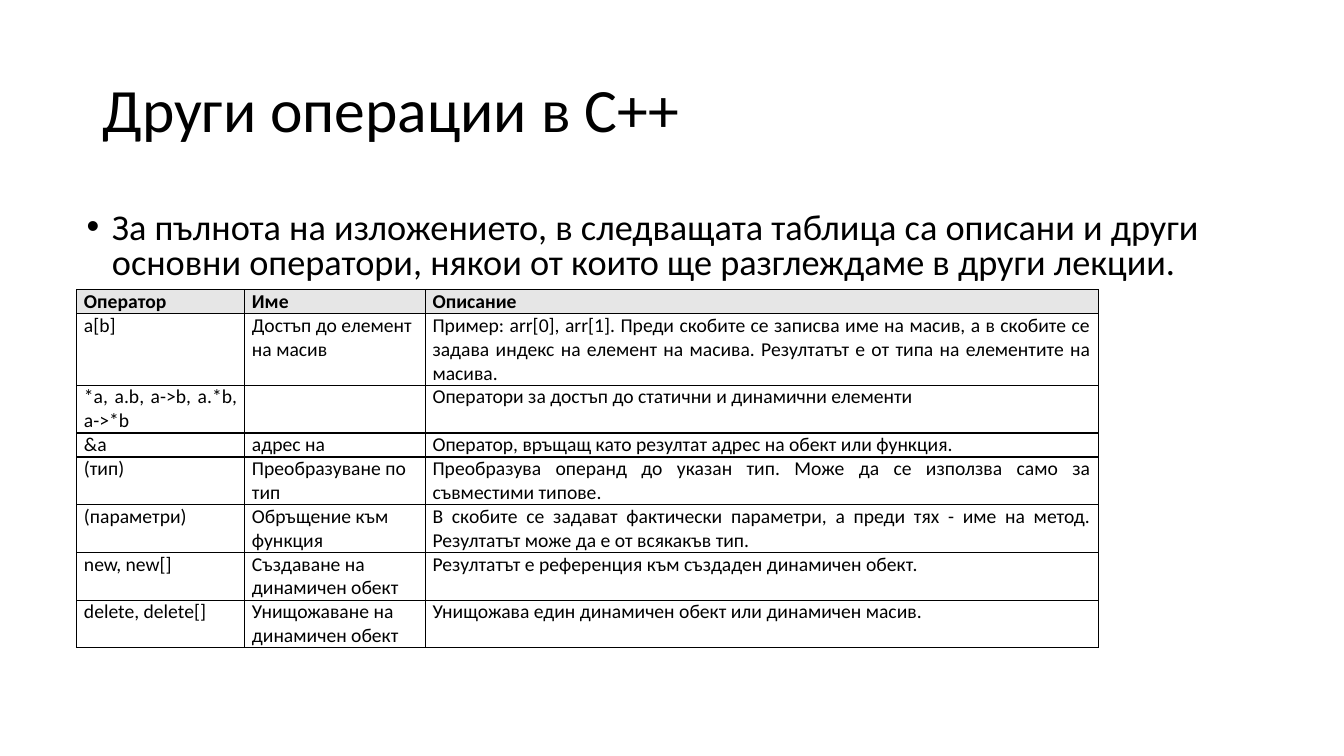
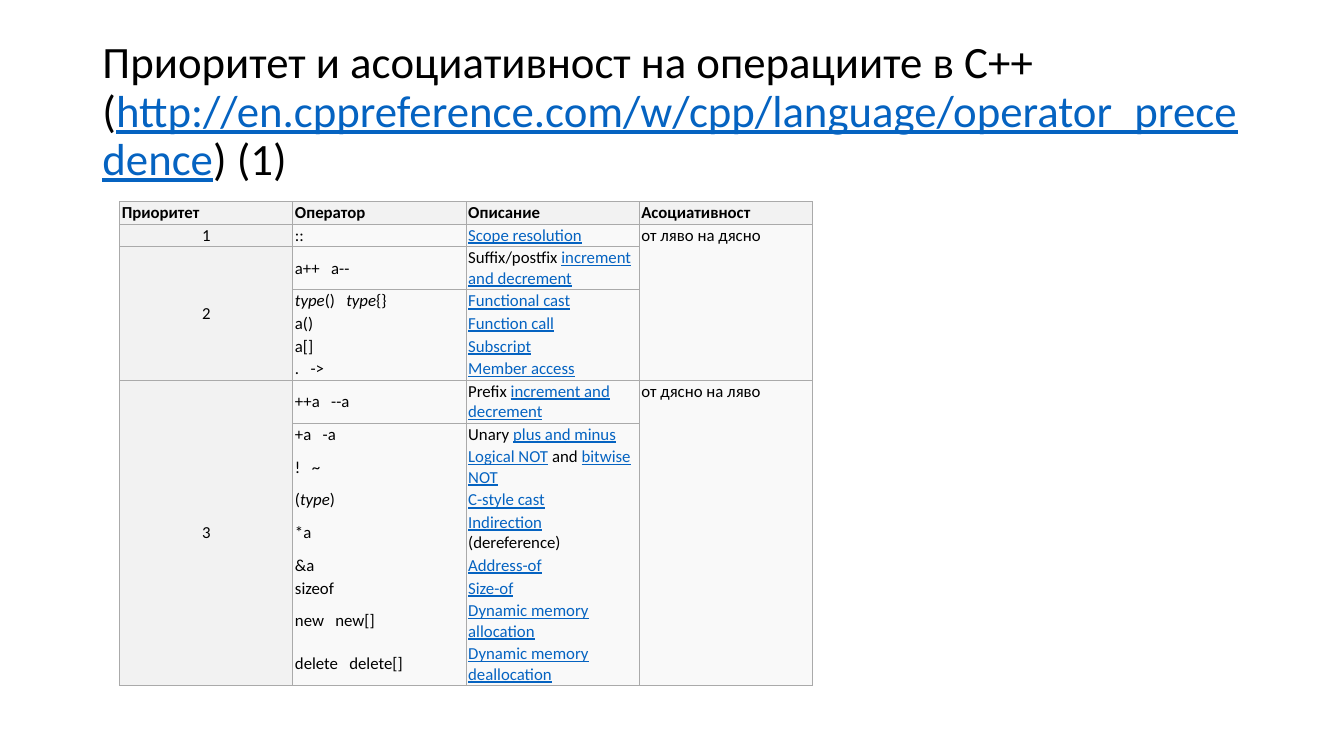
from dataclasses import dataclass

from lxml import etree
from pptx import Presentation
from pptx.dml.color import RGBColor
from pptx.enum.text import MSO_ANCHOR, MSO_AUTO_SIZE, PP_ALIGN
from pptx.oxml.ns import qn
from pptx.util import Emu, Pt

LEFT, CENTER, JUSTIFY = PP_ALIGN.LEFT, PP_ALIGN.CENTER, PP_ALIGN.JUSTIFY
TOP, MIDDLE = MSO_ANCHOR.TOP, MSO_ANCHOR.MIDDLE
NO_AUTOFIT = MSO_AUTO_SIZE.NONE

EMU_PER_PX = 9525
FONT = "Calibri"
BLACK, LINK_BLUE = "000000", "0563C1"
TITLE_AND_BODY, TITLE_ONLY = 1, 5
PLAIN_TABLE = "{2D5ABB26-0587-4C30-8999-92F81FD0307C}"


def px(length):
    """Turn whole pixels into EMU."""
    return Emu(length * EMU_PER_PX)


def color(value):
    """Turn a hex string into a colour."""
    return RGBColor.from_string(value)


@dataclass
class Run:
    """A piece of text with its own look."""
    text: str
    linked: bool = False
    italic: bool = False


def link(text):
    """Make a run that looks like a link."""
    return Run(text, linked=True)


def italic(text):
    """Make an italic run."""
    return Run(text, italic=True)


@dataclass
class TableStyle:
    """The look shared by the cells of one table."""
    size: int
    margin_x: int
    margin_y: int
    line_color: str
    line_width: float
    header_fill: str


class Deck:
    """The presentation, its style and the current slide."""

    def __init__(self):
        """Start a wide presentation."""
        self.presentation = Presentation()
        self.presentation.slide_width = px(1280)
        self.presentation.slide_height = px(720)

    def add_slide(self, layout, title, size):
        """Add a slide with its title."""
        self.slide = self.presentation.slides.add_slide(
            self.presentation.slide_layouts[layout])
        paragraph = self.place(self.slide.shapes.title, 88, 38, 1104, 139, MIDDLE)
        paragraph.line_spacing = 0.9
        self.add_runs(paragraph, title, size)

    def place(self, shape, left, top, width, height, anchor):
        """Move a placeholder and return its first paragraph."""
        shape.left, shape.top = px(left), px(top)
        shape.width, shape.height = px(width), px(height)
        frame = shape.text_frame
        frame.word_wrap = True
        frame.auto_size = NO_AUTOFIT
        frame.vertical_anchor = anchor
        paragraph = frame.paragraphs[0]
        paragraph.alignment = LEFT
        paragraph.space_before = Pt(0)
        return paragraph

    def add_runs(self, paragraph, runs, size, bold=False):
        """Add the runs to a paragraph."""
        for piece in runs:
            if isinstance(piece, str):
                piece = Run(piece)
            run = paragraph.add_run()
            run.text = piece.text
            font = run.font
            font.name, font.size, font.bold = FONT, Pt(size), bold
            font.italic, font.underline = piece.italic, piece.linked
            font.color.rgb = color(LINK_BLUE if piece.linked else BLACK)

    def bullet(self, text):
        """Fill the body placeholder with one bulleted paragraph."""
        paragraph = self.place(self.slide.placeholders[1], 73, 198, 1119, 84, TOP)
        properties = paragraph._p.get_or_add_pPr()
        properties.set("marL", str(px(24)))
        properties.set("indent", str(px(-24)))
        paragraph.line_spacing = 0.8
        self.add_runs(paragraph, [text], 25.9)

    def add_table(self, left, top, widths, heights, style):
        """Add an unstyled table for the cells that follow."""
        frame = self.slide.shapes.add_table(
            len(heights), len(widths), px(left), px(top),
            px(sum(widths)), px(sum(heights)))
        self.table, self.style = frame.table, style
        self.table.horz_banding = False
        self.table._tbl.tblPr.find(qn("a:tableStyleId")).text = PLAIN_TABLE
        for column, width in zip(self.table.columns, widths):
            column.width = px(width)
        for row, height in zip(self.table.rows, heights):
            row.height = px(height)

    def cell(self, row, column, runs, fill=None, edges="LRTB",
             align=LEFT, anchor=TOP, bold=False):
        """Format and fill one cell."""
        cell, style = self.table.cell(row, column), self.style
        cell.margin_left = cell.margin_right = px(style.margin_x)
        cell.margin_top = cell.margin_bottom = px(style.margin_y)
        cell.vertical_anchor = anchor
        self.borders(cell, edges)
        if fill:
            cell.fill.solid()
            cell.fill.fore_color.rgb = color(fill)
        else:
            cell.fill.background()
        paragraph = cell.text_frame.paragraphs[0]
        paragraph.alignment = align
        self.add_runs(paragraph, runs, style.size, bold)

    def borders(self, cell, edges):
        """Draw the named edges of a cell."""
        properties = cell._tc.get_or_add_tcPr()
        for edge in edges:
            line = etree.SubElement(properties, qn(f"a:ln{edge}"),
                                    w=str(Pt(self.style.line_width)))
            solid = etree.SubElement(line, qn("a:solidFill"))
            etree.SubElement(solid, qn("a:srgbClr"), val=self.style.line_color)

    def header(self, labels, align, anchor):
        """Fill the heading row of the table."""
        for column, label in enumerate(labels):
            self.cell(0, column, [label], self.style.header_fill,
                      align=align, anchor=anchor, bold=True)

    def span(self, column, first, last, text, fill, align, anchor):
        """Fill a cell that runs over several rows."""
        if last > first:
            self.table.cell(first, column).merge(self.table.cell(last, column))
        self.cell(first, column, [text], fill, align=align, anchor=anchor)
        for row in range(first + 1, last + 1):
            self.cell(row, column, [], fill, block_edges(row, first, last))


def block_edges(row, first, last):
    """Name the edges of a row inside a block of rows."""
    return "LR" + "T" * (row == first) + "B" * (row == last)


OPERATORS = [
    ("a[b]", "Достъп до елемент на масив",
     "Пример: arr[0], arr[1]. Преди скобите се записва име на масив, а в скобите "
     "се задава индекс на елемент на масива. Резултатът е от типа на елементите "
     "на масива."),
    ("*a, a.b, a->b, a.*b, a->*b", "",
     "Оператори за достъп до статични и динамични елементи"),
    ("&a", "адрес на",
     "Оператор, връщащ като резултат адрес на обект или функция."),
    ("(тип)", "Преобразуване по тип",
     "Преобразува операнд до указан тип. Може да се използва само за "
     "съвместими типове."),
    ("(параметри)", "Обръщение към функция",
     "В скобите се задават фактически параметри, а преди тях - име на метод. "
     "Резултатът може да е от всякакъв тип."),
    ("new, new[]", "Създаване на динамичен обект",
     "Резултатът е референция към създаден динамичен обект."),
    ("delete, delete[]", "Унищожаване на динамичен обект",
     "Унищожава един динамичен обект или динамичен масив."),
]
OPERATOR_LINES = [1, 3, 2, 1, 2, 2, 2, 2]

PRIORITIES = [
    ("1", [(["::"], [link("Scope resolution")])]),
    ("2", [
        (["a++   a--"], ["Suffix/postfix ", link("increment and decrement")]),
        ([italic("type"), "()   ", italic("type"), "{}"],
         [link("Functional cast")]),
        (["a()"], [link("Function call")]),
        (["a[]"], [link("Subscript")]),
        ([".   ->"], [link("Member access")]),
    ]),
    ("3", [
        (["++a   --a"], ["Prefix ", link("increment and decrement")]),
        (["+a   -a"], ["Unary ", link("plus and minus")]),
        (["!   ~"], [link("Logical NOT"), " and ", link("bitwise NOT")]),
        (["(", italic("type"), ")"], [link("C-style cast")]),
        (["*a"], [link("Indirection"), " (dereference)"]),
        (["&a"], [link("Address-of")]),
        (["sizeof"], [link("Size-of")]),
        (["new   new[]"], [link("Dynamic memory allocation")]),
        (["delete   delete[]"], [link("Dynamic memory deallocation")]),
    ]),
]
ASSOCIATIVITY = [(1, 6, "от ляво на дясно"), (7, 15, "от дясно на ляво")]
TWO_LINE_ROWS = {2, 7, 9, 11, 14, 15}


def operators_slide(deck):
    """Build the slide with the other operators."""
    deck.add_slide(TITLE_AND_BODY, ["Други операции в C++"], 44)
    deck.bullet("За пълнота на изложението, в следващата таблица са описани и "
                "други основни оператори, някои от които ще разглеждаме в "
                "други лекции.")
    deck.add_table(73, 276, [160, 172, 641],
                   [22 * lines for lines in OPERATOR_LINES],
                   TableStyle(14, 7, 0, BLACK, 1, "E6E6E6"))
    deck.header(["Оператор", "Име", "Описание"], JUSTIFY, TOP)
    for row, texts in enumerate(OPERATORS, 1):
        for column, text in enumerate(texts):
            deck.cell(row, column, [text] if text else [],
                      align=LEFT if column == 1 else JUSTIFY)


def priorities_slide(deck):
    """Build the slide with operator priorities."""
    deck.add_slide(TITLE_ONLY, [
        "Приоритет и асоциативност на операциите в C++ (",
        link("http://en.cppreference.com/w/cpp/language/operator_precedence"),
        ") (1)"], 32)
    deck.add_table(114, 192, [165] * 4,
                   [37 if row in TWO_LINE_ROWS else 21 for row in range(16)],
                   TableStyle(12, 2, 1, "AAAAAA", 0.75, "F2F2F2"))
    body_fill = "F9F9F9"
    deck.header(["Приоритет", "Оператор", "Описание", "Асоциативност"], LEFT, MIDDLE)
    first = 1
    for priority, entries in PRIORITIES:
        last = first + len(entries) - 1
        deck.span(0, first, last, priority, deck.style.header_fill, CENTER, MIDDLE)
        for row, entry in enumerate(entries, first):
            for column, runs in enumerate(entry, 1):
                deck.cell(row, column, runs, body_fill,
                          block_edges(row, first, last), anchor=MIDDLE)
        first = last + 1
    for first, last, text in ASSOCIATIVITY:
        deck.span(3, first, last, text, body_fill, LEFT, TOP)


def main():
    """Build and save the presentation."""
    deck = Deck()
    operators_slide(deck)
    priorities_slide(deck)
    deck.presentation.save("out.pptx")


if __name__ == "__main__":
    main()
